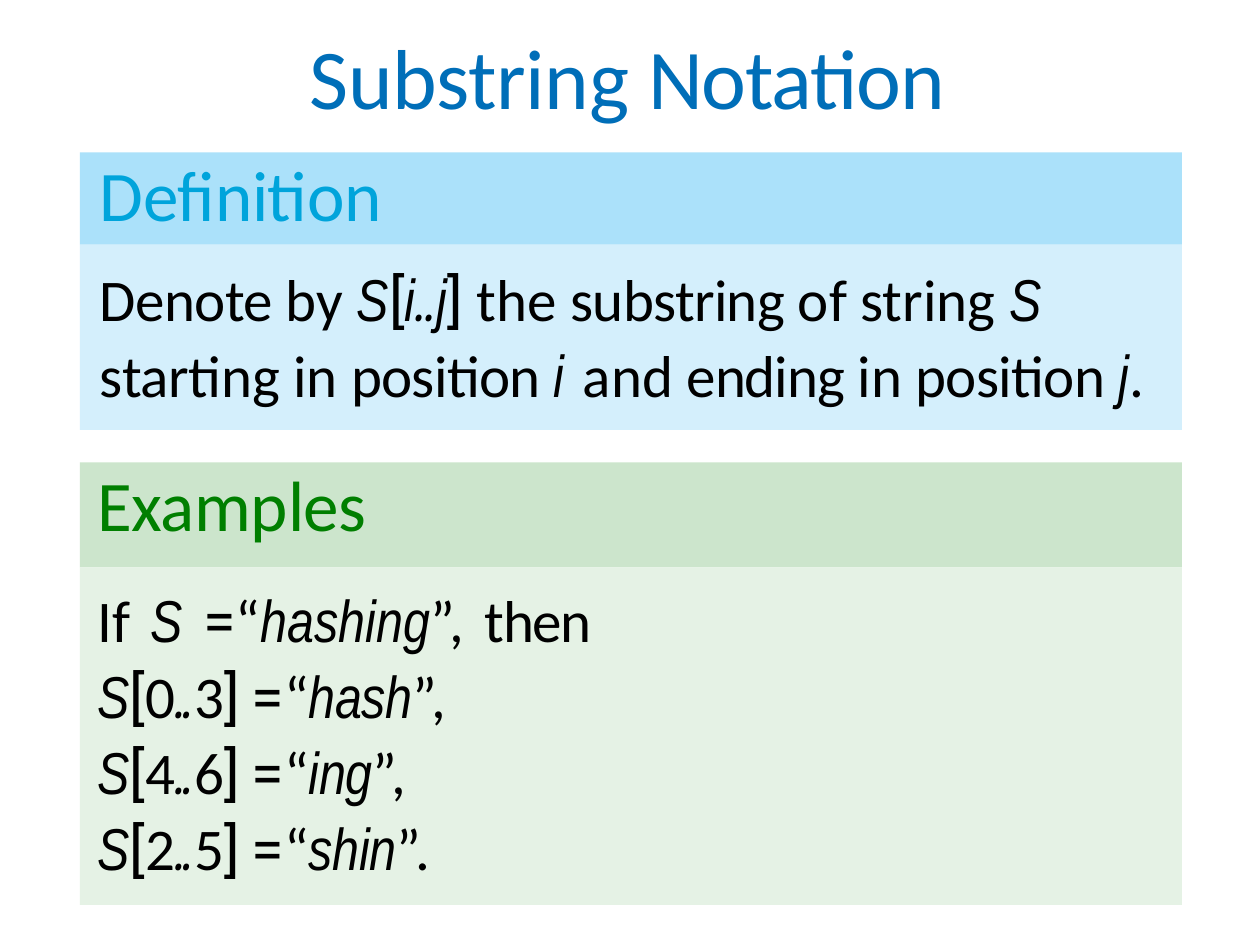
import pptx
import pptx.dml.color
import pptx.enum.shapes
import pptx.enum.text
import pptx.util

Inches = pptx.util.Inches
Pt = pptx.util.Pt
RGBColor = pptx.dml.color.RGBColor

TITLE_BLUE = RGBColor(0x00, 0x6E, 0xB8)
HEADING_BLUE = RGBColor(0x00, 0xA4, 0xDB)
HEADING_GREEN = RGBColor(0x00, 0x7F, 0x00)
BLUE_BAND = RGBColor(0xAB, 0xE1, 0xFA)
BLUE_BODY = RGBColor(0xD4, 0xEF, 0xFC)
GREEN_BAND = RGBColor(0xCC, 0xE5, 0xCC)
GREEN_BODY = RGBColor(0xE5, 0xF2, 0xE5)
BLACK = RGBColor(0x00, 0x00, 0x00)

SANS = "Calibri"
MATH = "Arial Narrow"
DOTS = "Cambria"
SIGN = "Roboto"
ITALIC_FONTS = (MATH, DOTS)

TITLE_SIZE = 24.5
HEADING_SIZE = 20.5
BODY_SIZE = 17

LEFT = 0.32
WIDTH = 4.41
TEXT_INDENT = 0.08

DEFINITION_LINES = [
    [("Denote ", SANS, -0.2), ("by ", SANS, 0), ("S", MATH, -0.2),
     ("[", SIGN, -0.2), ("i", MATH, -0.2), ("..", DOTS, -0.2),
     ("j", MATH, -0.2), ("] ", SIGN, -0.2), ("the ", SANS, 0),
     ("substring ", SANS, -0.2), ("of string ", SANS, 0), ("S", MATH, -0.5)],
    [("starting ", SANS, -0.1), ("in ", SANS, 0), ("position ", SANS, -0.2),
     ("i ", MATH, 0.7), ("and ", SANS, 0), ("ending ", SANS, -0.3),
     ("in ", SANS, 0), ("position ", SANS, -0.2), ("j", MATH, 0.3),
     (".", SANS, 0.3)],
]
WIDE_SPACE = (" ", SANS, 2)
EXAMPLE_INTRO = [
    ("If", SANS, 0), WIDE_SPACE, ("S", MATH, 0), WIDE_SPACE,
    ("=", SIGN, 0), ("“", SANS, 0), ("hashing", MATH, 0),
    ("”,", SANS, 0), WIDE_SPACE, ("then", SANS, -0.4),
]
SUBSTRINGS = [("0", "3", "hash", "”,"), ("4", "6", "ing", "”,"),
              ("2", "5", "shin", "”.")]


def example_line(first, last, value, ending):
    return [("S", MATH, -0.8), ("[", SIGN, -0.8), (first, SANS, -0.8),
            ("..", DOTS, -0.8), (last, SANS, -0.8), ("] ", SIGN, -0.8),
            ("=", SIGN, -0.1), ("“", SANS, -0.1), (value, MATH, -0.1),
            (ending, SANS, -0.1)]


def set_up_text(shape, indent, top_inset):
    frame = shape.text_frame
    frame.word_wrap = True
    frame.vertical_anchor = pptx.enum.text.MSO_ANCHOR.TOP
    frame.margin_left = Inches(indent)
    frame.margin_top = Inches(top_inset)
    frame.margin_right = frame.margin_bottom = 0
    return frame


def write_line(para, spans, size, color, space_before=0):
    para.alignment = pptx.enum.text.PP_ALIGN.LEFT
    para.space_before = Pt(space_before)
    for text, font, tracking in spans:
        span = para.add_run()
        span.text = text
        span.font.name = font
        span.font.size = Pt(size)
        span.font.italic = font in ITALIC_FONTS
        span.font.color.rgb = color
        span._r.get_or_add_rPr().set("spc", str(round(tracking * 100)))


def add_band(page, top, height, fill):
    band = page.shapes.add_shape(
        pptx.enum.shapes.MSO_SHAPE.RECTANGLE,
        Inches(LEFT), Inches(top), Inches(WIDTH), Inches(height))
    band.shadow.inherit = False
    band.fill.solid()
    band.fill.fore_color.rgb = fill
    band.line.fill.background()
    return band


def add_title(page, top, height):
    box = page.shapes.add_textbox(
        Inches(LEFT), Inches(top), Inches(WIDTH), Inches(height))
    frame = set_up_text(box, 0.92, 0.02)
    write_line(frame.paragraphs[0],
               [("Substring ", SANS, -0.1), ("Notation", SANS, -0.3)],
               TITLE_SIZE, TITLE_BLUE)


def add_definition(page, top, heading_height, body_height):
    heading = add_band(page, top, heading_height, BLUE_BAND)
    heading_para = set_up_text(heading, TEXT_INDENT, 0).paragraphs[0]
    heading_para.line_spacing = Pt(24.1)
    write_line(heading_para, [("Definition", SANS, -0.1)],
               HEADING_SIZE, HEADING_BLUE)

    body = add_band(page, top + heading_height, body_height, BLUE_BODY)
    frame = set_up_text(body, TEXT_INDENT, 0.07)
    write_line(frame.paragraphs[0], DEFINITION_LINES[0], BODY_SIZE, BLACK)
    write_line(frame.add_paragraph(), DEFINITION_LINES[1], BODY_SIZE, BLACK, 1.5)


def add_examples(page, top, heading_height, body_height):
    add_band(page, top, heading_height, GREEN_BAND)
    add_band(page, top + heading_height, body_height, GREEN_BODY)
    box = page.shapes.add_textbox(
        Inches(LEFT + 0.06), Inches(top - 0.2), Inches(2.07), Inches(1.9))
    frame = set_up_text(box, 0.01, 0.19)
    write_line(frame.paragraphs[0], [("Examples", SANS, -0.1)],
               HEADING_SIZE, HEADING_GREEN)
    write_line(frame.add_paragraph(), EXAMPLE_INTRO, BODY_SIZE, BLACK, 11)
    for substring in SUBSTRINGS:
        write_line(frame.add_paragraph(), example_line(*substring),
                   BODY_SIZE, BLACK, 1.5)


def main():
    deck = pptx.Presentation()
    deck.slide_width = Pt(363)
    deck.slide_height = Pt(272.5)
    page = deck.slides.add_slide(deck.slide_layouts[6])
    add_title(page, 0.08, 0.44)
    add_definition(page, 0.61, 0.37, 0.74)
    add_examples(page, 1.85, 0.42, 1.35)
    deck.save("out.pptx")


if __name__ == "__main__":
    main()
